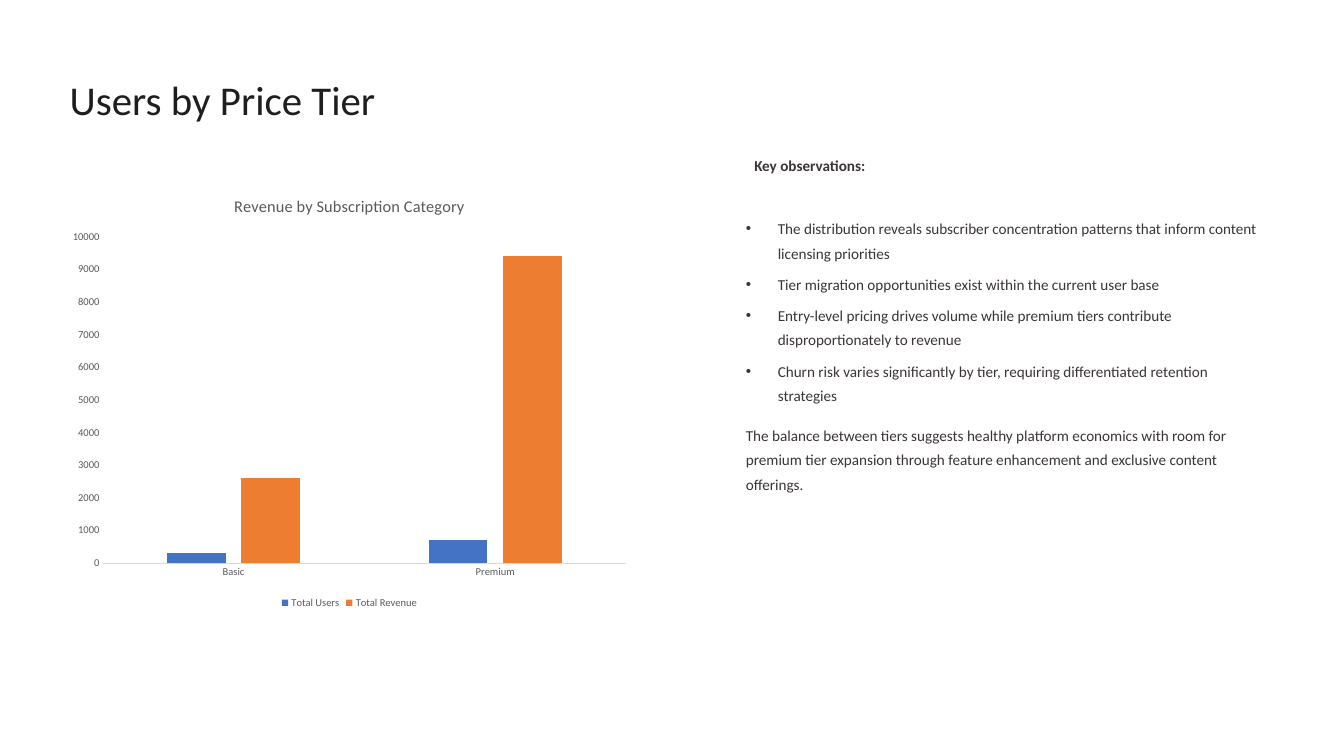
from lxml.etree import SubElement
from pptx import Presentation
from pptx.chart.data import CategoryChartData
from pptx.dml.color import RGBColor
from pptx.enum.chart import XL_CHART_TYPE, XL_LEGEND_POSITION, XL_TICK_MARK
from pptx.enum.text import MSO_ANCHOR, MSO_AUTO_SIZE, PP_ALIGN
from pptx.oxml.ns import qn
from pptx.util import Inches, Pt

WHITE = RGBColor(0xFF, 0xFF, 0xFF)
TITLE_INK = RGBColor(0x1F, 0x1E, 0x1E)
BODY_INK = RGBColor(0x3B, 0x35, 0x35)
CHART_INK = RGBColor(0x59, 0x59, 0x59)
AXIS_GREY = RGBColor(0xD9, 0xD9, 0xD9)
USERS_BLUE = RGBColor(0x44, 0x72, 0xC4)
REVENUE_ORANGE = RGBColor(0xED, 0x7D, 0x31)
FONT = "Calibri"


def style_font(font, size, color, bold=False):
    font.name = FONT
    font.size = Pt(size)
    font.bold = bold
    font.color.rgb = color


def fill_text(shape, texts, size, color, leading, bold=False, bullets=False):
    frame = shape.text_frame
    frame.margin_left = frame.margin_right = frame.margin_top = frame.margin_bottom = 0
    frame.word_wrap = True
    frame.auto_size = MSO_AUTO_SIZE.NONE
    frame.vertical_anchor = MSO_ANCHOR.TOP
    for index, text in enumerate(texts):
        paragraph = frame.add_paragraph() if index else frame.paragraphs[0]
        paragraph.alignment = PP_ALIGN.LEFT
        paragraph.line_spacing = Pt(leading)
        paragraph.space_before = Pt(5.6 if index else 0)
        if bullets:
            properties = paragraph._p.get_or_add_pPr()
            properties.set("marL", str(Inches(0.38)))
            properties.set("indent", str(-Inches(0.38)))
            SubElement(properties, qn("a:buFont"), typeface="Arial")
            SubElement(properties, qn("a:buChar"), char="•")
        run = paragraph.add_run()
        run.text = text
        style_font(run.font, size, color, bold)


presentation = Presentation()
presentation.slide_width = Inches(16)
presentation.slide_height = Inches(9)
slide = presentation.slides.add_slide(presentation.slide_layouts[5])
slide.background.fill.solid()
slide.background.fill.fore_color.rgb = WHITE

title = slide.shapes.title
title.left, title.top = Inches(0.83), Inches(0.86)
title.width, title.height = Inches(4.91), Inches(0.61)
fill_text(title, ["Users by Price Tier"], 35, TITLE_INK, 44)

heading = slide.shapes.add_textbox(Inches(8.98), Inches(1.79), Inches(6.2), Inches(0.3))
fill_text(heading, ["Key observations:"], 13, BODY_INK, 21, bold=True)

observations = slide.shapes.add_textbox(Inches(8.88), Inches(2.54), Inches(6.2), Inches(2.29))
fill_text(observations, [
    "The distribution reveals subscriber concentration patterns that inform content licensing priorities",
    "Tier migration opportunities exist within the current user base",
    "Entry-level pricing drives volume while premium tiers contribute disproportionately to revenue",
    "Churn risk varies significantly by tier, requiring differentiated retention strategies",
], 13, BODY_INK, 21, bullets=True)

conclusion = slide.shapes.add_textbox(Inches(8.88), Inches(5), Inches(6.2), Inches(0.9))
fill_text(conclusion, [
    "The balance between tiers suggests healthy platform economics with room for premium tier "
    "expansion through feature enhancement and exclusive content offerings.",
], 13, BODY_INK, 21)

tier_data = CategoryChartData()
tier_data.categories = ["Basic", "Premium"]
tier_data.add_series("Total Users", [300, 700])
tier_data.add_series("Total Revenue", [2600, 9400])
tier_chart = slide.shapes.add_chart(
    XL_CHART_TYPE.COLUMN_CLUSTERED,
    Inches(0.73), Inches(2.13), Inches(6.86), Inches(5.16), tier_data,
).chart
style_font(tier_chart.font, 10, CHART_INK)

tier_chart.has_title = True
chart_title = tier_chart.chart_title.text_frame.paragraphs[0].add_run()
chart_title.text = "Revenue by Subscription Category"
style_font(chart_title.font, 14, CHART_INK)
tier_chart.chart_title.include_in_layout = False

tier_chart.has_legend = True
tier_chart.legend.position = XL_LEGEND_POSITION.BOTTOM
tier_chart.legend.include_in_layout = False
style_font(tier_chart.legend.font, 9, CHART_INK)

tier_axis, amount_axis = tier_chart.category_axis, tier_chart.value_axis
for axis in (tier_axis, amount_axis):
    axis.major_tick_mark = axis.minor_tick_mark = XL_TICK_MARK.NONE
    axis.has_major_gridlines = False
    style_font(axis.tick_labels.font, 9, CHART_INK)
tier_axis.format.line.color.rgb = AXIS_GREY
tier_axis.format.line.width = Pt(0.75)
amount_axis.format.line.fill.background()
amount_axis.minimum_scale = 0
amount_axis.maximum_scale = 10000
amount_axis.major_unit = 1000

columns = tier_chart.plots[0]
columns.gap_width = 219
columns.overlap = -27
columns.vary_by_categories = False
for series, color in zip(columns.series, (USERS_BLUE, REVENUE_ORANGE)):
    series.format.fill.solid()
    series.format.fill.fore_color.rgb = color

presentation.save("out.pptx")
